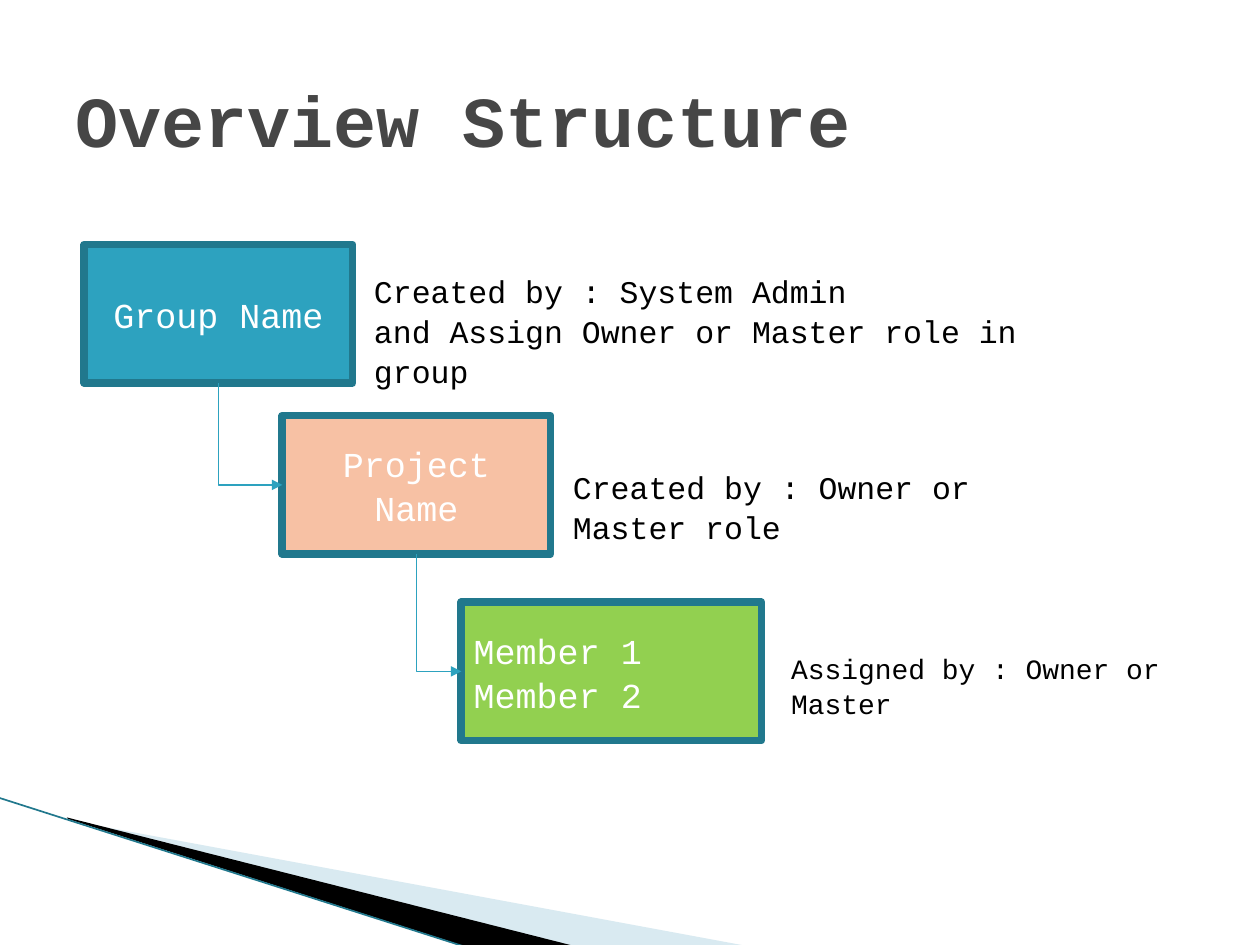
from dataclasses import dataclass

from lxml import etree
from pptx import Presentation
from pptx import util as u
from pptx.dml import color
from pptx.enum import shapes, text
from pptx.oxml import ns

FONT = "Courier New"
TEAL, DARK_TEAL = "2DA2BF", "21788D"
LEFT, CENTER = text.PP_ALIGN.LEFT, text.PP_ALIGN.CENTER
TOP, MIDDLE = text.MSO_ANCHOR.TOP, text.MSO_ANCHOR.MIDDLE


@dataclass
class Level:
    """A box of the hierarchy; lengths in cm."""
    lines: list[str]
    left: float
    top: float
    width: float
    fill: str
    align: text.PP_ALIGN = CENTER
    height: float = 2.79


@dataclass
class Label:
    """A free-standing text; lengths in cm."""
    lines: list[str]
    left: float
    top: float
    width: float
    height: float
    size: float
    color: str = "000000"
    bold: bool = False
    anchor: text.MSO_ANCHOR = TOP


@dataclass
class Wedge:
    """A filled corner decoration; points in cm."""
    points: list[tuple[float, float]]
    fill: str
    opacity: int = 100


LEVELS = [
    Level(["Group Name"], 1.7, 4.93, 5.41, TEAL),
    Level(["Project Name"], 5.69, 8.38, 5.41, "F7C1A4"),
    Level(["Member 1", "Member 2"], 9.3, 12.14, 6.05, "92D050", LEFT),
]
LABELS = [
    Label(["Overview Structure"], 1.27, 0.76, 22.86, 3.18, 41, "464646", True, MIDDLE),
    Label(["Created by : System Admin", "and Assign Owner or Master role in group"],
          7.29, 5.33, 14.55, 1.8, 18),
    Label(["Created by : Owner or Master role"], 11.3, 9.27, 11, 1.02, 18),
    Label(["Assigned by : Owner or Master"], 15.7, 12.98, 9.5, 0.94, 16),
]
WEDGES = [
    Wedge([(1.4, 16.54), (15.11, 19.08), (11.58, 19.08), (1.4, 16.51)], "A0CBDC", 40),
    Wedge([(1.35, 16.48), (11.61, 19.08), (9.45, 19.1), (1.37, 16.51)], "000000"),
]


def rgb(value: str) -> color.RGBColor:
    return color.RGBColor.from_string(value)


def apply(target, values: dict) -> None:
    for name, value in values.items():
        setattr(target, name, value)


def paint(shape, fill: str) -> None:
    shape.shadow.inherit = False
    shape.fill.solid()
    shape.fill.fore_color.rgb = rgb(fill)


def write(box, lines: list[str], size: float, ink: str, align=LEFT,
          anchor=TOP, bold: bool = False) -> None:
    frame = box.text_frame
    apply(frame, {"word_wrap": True, "vertical_anchor": anchor})
    for index, line in enumerate(lines):
        para = frame.add_paragraph() if index else frame.paragraphs[0]
        apply(para, {"alignment": align, "line_spacing": 1.05})
        span = para.add_run()
        span.text = line
        apply(span.font, {"name": FONT, "size": u.Pt(size), "bold": bold})
        span.font.color.rgb = rgb(ink)


def draw_wedge(page, wedge: Wedge) -> None:
    start, *others = [(u.Cm(x), u.Cm(y)) for x, y in wedge.points]
    builder = page.shapes.build_freeform(*start)
    builder.add_line_segments(others, close=True)
    shape = builder.convert_to_shape()
    paint(shape, wedge.fill)
    shape.line.fill.background()
    if wedge.opacity < 100:
        tone = shape.fill._xPr.find(".//" + ns.qn("a:srgbClr"))
        etree.SubElement(tone, ns.qn("a:alpha"), val=str(wedge.opacity * 1000))


def draw_label(page, label: Label) -> None:
    box = page.shapes.add_textbox(*map(u.Cm, (label.left, label.top, label.width, label.height)))
    write(box, label.lines, label.size, label.color, anchor=label.anchor, bold=label.bold)


def draw_level(page, level: Level):
    box = page.shapes.add_shape(
        shapes.MSO_SHAPE.RECTANGLE,
        *map(u.Cm, (level.left, level.top, level.width, level.height)))
    paint(box, level.fill)
    box.line.color.rgb = rgb(DARK_TEAL)
    box.line.width = u.Pt(4.33)
    write(box, level.lines, 20, "FFFFFF", level.align, MIDDLE)
    return box


def draw_line(page, kind, ends, ink: str, width: float):
    line = page.shapes.add_connector(kind, *ends)
    line.line.color.rgb = rgb(ink)
    line.line.width = u.Pt(width)
    etree.SubElement(line._element.spPr, ns.qn("a:effectLst"))
    return line


def draw_elbow(page, parent, child) -> None:
    """Run down from the parent's bottom, then right to the child's left side."""
    x1, y1 = parent.left + parent.width // 2, parent.top + parent.height
    x2, y2 = child.left, child.top + child.height // 2
    elbow = draw_line(page, shapes.MSO_CONNECTOR.ELBOW, (x1, y1, x2, y2), TEAL, 0.75)
    elbow.begin_connect(parent, 2)
    elbow.end_connect(child, 1)
    # A single bend is a quarter-turned frame around the same centre
    across, down = x2 - x1, y2 - y1
    apply(elbow, {"left": (x1 + x2 - down) // 2, "top": (y1 + y2 - across) // 2,
                  "width": down, "height": across})
    properties = elbow._element.spPr
    properties.find(ns.qn("a:prstGeom")).set("prst", "bentConnector2")
    frame = properties.find(ns.qn("a:xfrm"))
    frame.set("rot", str(270 * 60000))
    frame.set("flipH", "1")
    etree.SubElement(properties.find(ns.qn("a:ln")), ns.qn("a:tailEnd"), type="triangle")


def main() -> None:
    deck = Presentation()
    apply(deck, {"slide_width": u.Cm(25.4), "slide_height": u.Cm(19.05)})
    page = deck.slides.add_slide(deck.slide_layouts[6])

    # Corner decoration
    for wedge in WEDGES:
        draw_wedge(page, wedge)
    edge = map(u.Cm, (-0.03, 16.08, 9.42, 19.1))
    draw_line(page, shapes.MSO_CONNECTOR.STRAIGHT, edge, DARK_TEAL, 0.95)

    # Title and explanations
    for label in LABELS:
        draw_label(page, label)

    # Hierarchy
    boxes = [draw_level(page, level) for level in LEVELS]
    for parent, child in zip(boxes, boxes[1:]):
        draw_elbow(page, parent, child)

    deck.save("out.pptx")


if __name__ == "__main__":
    main()
